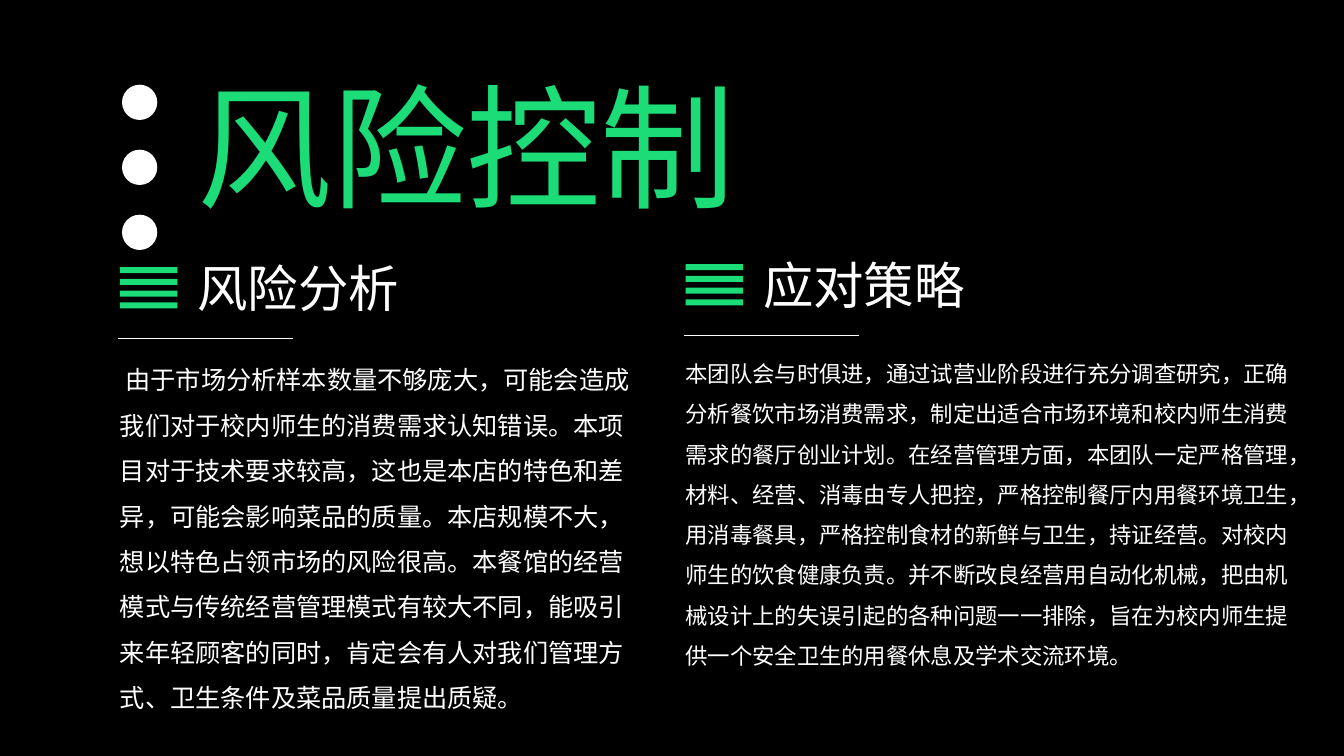
from pptx import Presentation
from pptx.dml.color import RGBColor
from pptx.enum.lang import MSO_LANGUAGE_ID
from pptx.enum.shapes import MSO_CONNECTOR, MSO_SHAPE
from pptx.enum.text import MSO_ANCHOR, MSO_AUTO_SIZE, PP_ALIGN
from pptx.oxml.ns import qn
from pptx.util import Inches, Pt
from lxml.etree import SubElement

BLACK = RGBColor(0x00, 0x00, 0x00)
WHITE = RGBColor(0xFF, 0xFF, 0xFF)
GREEN = RGBColor(0x1B, 0xDC, 0x77)
SANS = "Noto Sans CJK SC"
NARROW = "Arial Narrow"


def write(box, text, face, size, color, gap=1.0):
    frame = box.text_frame
    look = {"word_wrap": True, "auto_size": MSO_AUTO_SIZE.NONE,
            "vertical_anchor": MSO_ANCHOR.TOP}
    for key, value in look.items():
        setattr(frame, key, value)
    para = frame.paragraphs[0]
    para.alignment = PP_ALIGN.LEFT
    para.line_spacing = gap
    run = para.add_run()
    run.text = text
    look = {"name": face, "size": Pt(size),
            "language_id": MSO_LANGUAGE_ID.SIMPLIFIED_CHINESE}
    for key, value in look.items():
        setattr(run.font, key, value)
    run.font.color.rgb = color
    SubElement(run.font._element, qn("a:ea")).set("typeface", face)


def stack(kind, left, top, wide, high, step, count, color):
    group = slide.shapes.add_group_shape()
    for row in range(count):
        mark = group.shapes.add_shape(
            kind, Inches(left), Inches(top + row * step),
            Inches(wide), Inches(high))
        mark.shadow.inherit = False
        mark.fill.solid()
        mark.fill.fore_color.rgb = color
        mark.line.fill.background()


deck = Presentation()
deck.slide_width = Inches(13.33)
deck.slide_height = Inches(7.5)
slide = deck.slides.add_slide(deck.slide_layouts[5])
slide.background.fill.solid()
slide.background.fill.fore_color.rgb = BLACK

title = slide.shapes.title
spot = {"left": 1.86, "top": 0.59, "width": 6.72, "height": 1.72}
for key, value in spot.items():
    setattr(title, key, Inches(value))
write(title, "风险控制", NARROW, 96, GREEN)
stack(MSO_SHAPE.OVAL, 1.21, 0.84, 0.35, 0.35, 0.645, 3, WHITE)

risk = (
    " 由于市场分析样本数量不够庞大，可能会造成我们对于校内师生的消费需求认知错误。"
    "本项目对于技术要求较高，这也是本店的特色和差异，可能会影响菜品的质量。"
    "本店规模不大，想以特色占领市场的风险很高。"
    "本餐馆的经营模式与传统经营管理模式有较大不同，能吸引来年轻顾客的同时，"
    "肯定会有人对我们管理方式、卫生条件及菜品质量提出质疑。"
)
plan = (
    "本团队会与时俱进，通过试营业阶段进行充分调查研究，正确分析餐饮市场消费需求，"
    "制定出适合市场环境和校内师生消费需求的餐厅创业计划。"
    "在经营管理方面，本团队一定严格管理，材料、经营、消毒由专人把控，"
    "严格控制餐厅内用餐环境卫生，用消毒餐具，严格控制食材的新鲜与卫生，持证经营。"
    "对校内师生的饮食健康负责。并不断改良经营用自动化机械，"
    "把由机械设计上的失误引起的各种问题一一排除，"
    "旨在为校内师生提供一个安全卫生的用餐休息及学术交流环境。"
)
parts = [
    ("风险分析", risk, 18, 1.17, 2.5, (1.09, 3.42, 5.31, 3.74)),
    ("应对策略", plan, 16, 6.78, 2.47, (6.7, 3.39, 6.34, 3.29)),
]
for head, body, size, left, top, area in parts:
    box = slide.shapes.add_textbox(*map(Inches, area))
    write(box, body, SANS, size, WHITE, 1.5)
    box = slide.shapes.add_textbox(
        Inches(left + 0.69), Inches(top), Inches(3.62), Inches(0.71))
    write(box, head, SANS, 36, WHITE)
    rule = slide.shapes.add_connector(
        MSO_CONNECTOR.STRAIGHT, Inches(left), Inches(top + 0.86),
        Inches(left + 1.74), Inches(top + 0.86))
    rule.line.color.rgb = WHITE
    rule.line.width = Pt(0.5)
    SubElement(rule._element.spPr, qn("a:effectLst"))
    stack(MSO_SHAPE.RECTANGLE, left + 0.02, top + 0.15,
          0.57, 0.06, 0.117, 4, GREEN)

deck.save("out.pptx")
